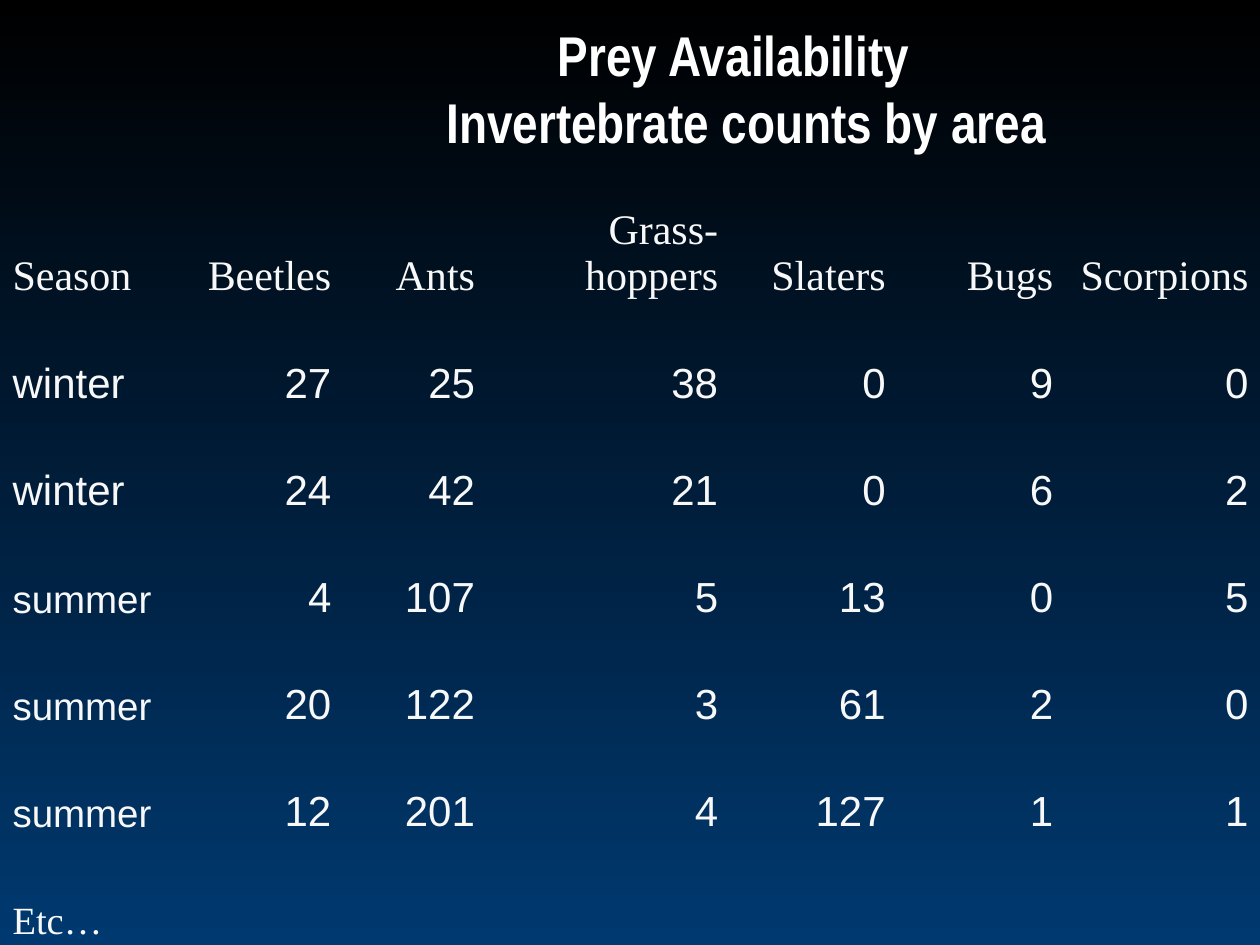
from dataclasses import dataclass

from pptx import Presentation
from pptx.dml.color import RGBColor
from pptx.enum.text import MSO_ANCHOR, PP_ALIGN
from pptx.util import Inches, Pt

LEFT, CENTER, RIGHT = PP_ALIGN.LEFT, PP_ALIGN.CENTER, PP_ALIGN.RIGHT
MIDDLE, BOTTOM = MSO_ANCHOR.MIDDLE, MSO_ANCHOR.BOTTOM
NO_STYLE = "{2D5ABB26-0587-4C30-8999-92F81FD0307C}"


@dataclass(frozen=True)
class Theme:
    bg_top: RGBColor = RGBColor(0x00, 0x00, 0x00)
    bg_bottom: RGBColor = RGBColor(0x00, 0x39, 0x70)
    title_color: RGBColor = RGBColor(0xFF, 0xFF, 0xFF)
    body_color: RGBColor = RGBColor(0xF8, 0xF8, 0xF8)
    title_font: str = "Arial Narrow"
    head_font: str = "Times New Roman"
    body_font: str = "Arial"
    title_size: int = 32
    body_size: int = 24
    small_size: int = 22


class Deck:
    def __init__(self, slide, theme):
        self.s = slide
        self.theme = theme

    def background(self):
        fill = self.s.background.fill
        fill.gradient()
        fill.gradient_angle = 270  # counter-clockwise, so top to bottom
        colors = (self.theme.bg_top, self.theme.bg_bottom)
        for position, (stop, color) in enumerate(zip(fill.gradient_stops, colors)):
            stop.position = position
            stop.color.rgb = color

    def run(self, p, text, font, size, color, bold=False):
        r = p.add_run()
        r.text = text
        r.font.name = font
        r.font.size = Pt(size)
        r.font.color.rgb = color
        r.font.bold = bold

    def title(self, lines, left, top, width, height):
        t = self.theme
        box = self.s.shapes.add_textbox(
            Inches(left), Inches(top), Inches(width), Inches(height))
        tf = box.text_frame
        tf.word_wrap = True
        tf.vertical_anchor = MIDDLE
        p = tf.paragraphs[0]
        p.alignment = CENTER
        for i, line in enumerate(lines):
            if i:
                p.add_line_break()
            self.run(p, line, t.title_font, t.title_size, t.title_color, bold=True)

    def cell(self, cell, text, font, size, align):
        cell.fill.background()
        cell.vertical_anchor = BOTTOM
        if not text:
            return
        p = cell.text_frame.paragraphs[0]
        p.alignment = align
        # Hanging indent
        pPr = p._p.get_or_add_pPr()
        pPr.set("marL", str(Inches(0.38)))
        pPr.set("indent", str(-Inches(0.38)))
        self.run(p, text, font, size, self.theme.body_color)

    def table(self, rows, left, top, col_widths, row_heights):
        t = self.theme
        frame = self.s.shapes.add_table(
            len(rows), len(col_widths), Inches(left), Inches(top),
            Inches(sum(col_widths)), Inches(sum(row_heights)))
        table = frame.table
        table.first_row = table.horz_banding = False
        table._tbl.tblPr.find("{*}tableStyleId").text = NO_STYLE
        for column, width in zip(table.columns, col_widths):
            column.width = Inches(width)
        for row, height in zip(table.rows, row_heights):
            row.height = Inches(height)
        for i, values in enumerate(rows):
            # The header and the closing row share the serif font
            font = t.head_font if i in (0, len(rows) - 1) else t.body_font
            for j, value in enumerate(values):
                small = value in ("summer", "Etc…")
                self.cell(table.cell(i, j), str(value), font,
                          t.small_size if small else t.body_size,
                          RIGHT if j else LEFT)


COUNTS = [
    ("Season", "Beetles", "Ants", "Grass-hoppers", "Slaters", "Bugs", "Scorpions"),
    ("winter", 27, 25, 38, 0, 9, 0),
    ("winter", 24, 42, 21, 0, 6, 2),
    ("summer", 4, 107, 5, 13, 0, 5),
    ("summer", 20, 122, 3, 61, 2, 0),
    ("summer", 12, 201, 4, 127, 1, 1),
    ("Etc…", "", "", "", "", "", ""),
]


def main():
    prs = Presentation()
    prs.slide_width, prs.slide_height = Inches(10), Inches(7.5)
    deck = Deck(prs.slides.add_slide(prs.slide_layouts[6]), Theme())

    deck.background()

    # Heading
    deck.title(["Prey Availability ", " Invertebrate counts by area"],
               2.25, 0.28, 7.25, 0.83)

    # Invertebrate counts
    deck.table(COUNTS, 0, 1.53,
               col_widths=[1.36, 1.37, 1.14, 1.93, 1.33, 1.33, 1.55],
               row_heights=[0.9] + [0.85] * (len(COUNTS) - 1))

    prs.save("out.pptx")


if __name__ == "__main__":
    main()
